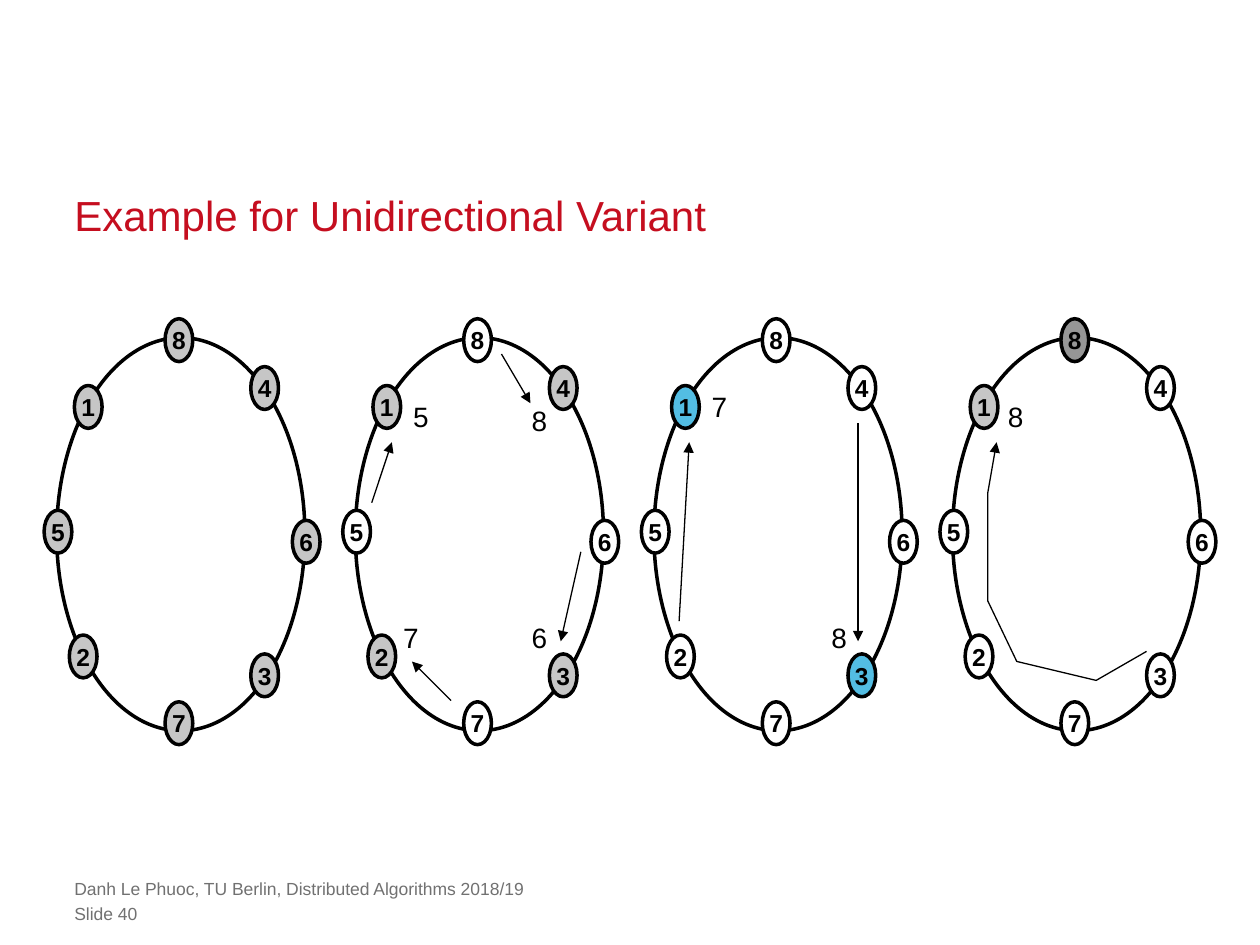
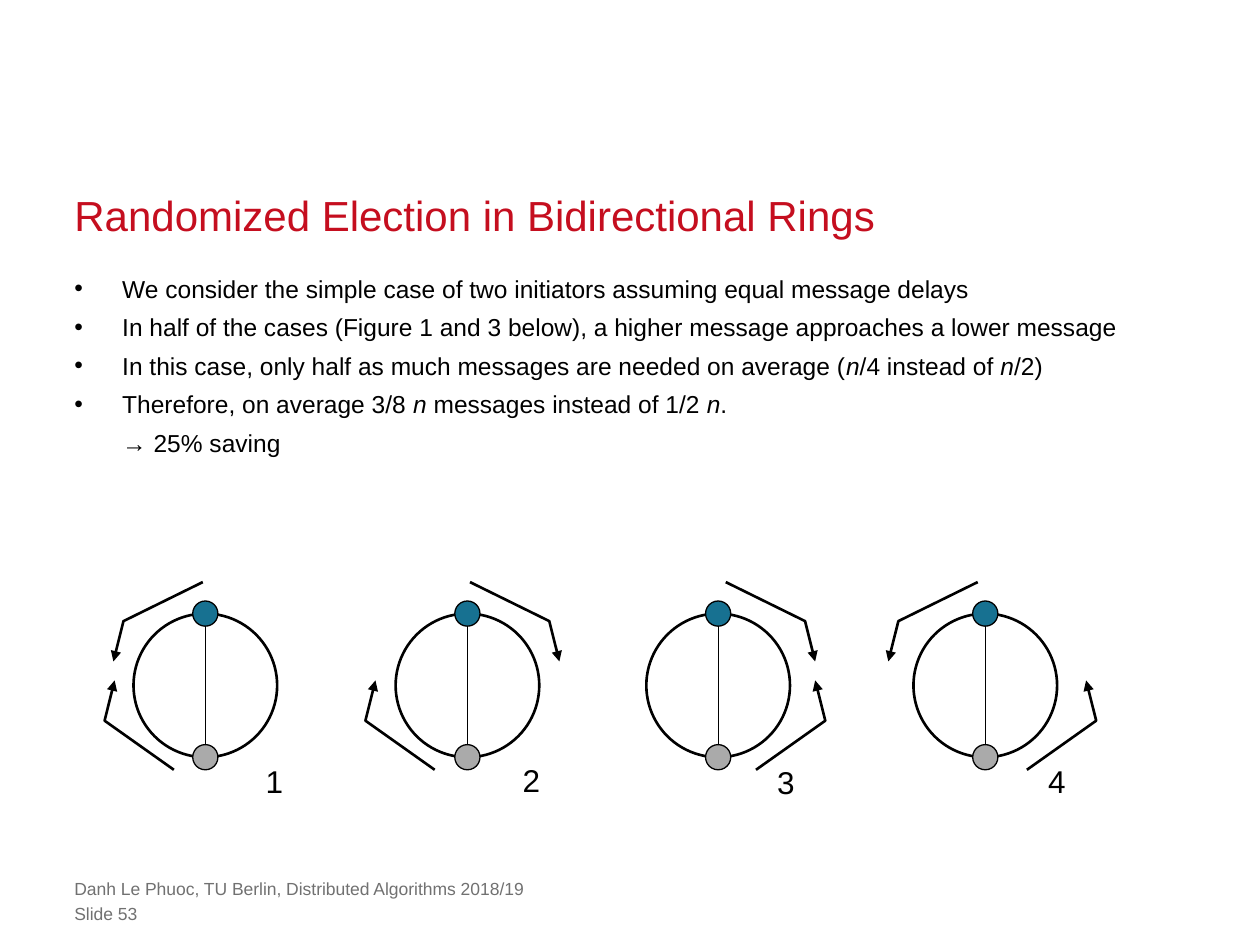
"""Build two slides on leader election in unidirectional and bidirectional rings."""
import lxml.etree
import pptx
import pptx.dml.color
import pptx.enum.shapes
import pptx.enum.text
import pptx.oxml.ns
import pptx.util

BLACK = pptx.dml.color.RGBColor(0x00, 0x00, 0x00)
WHITE = pptx.dml.color.RGBColor(0xFF, 0xFF, 0xFF)
RED = pptx.dml.color.RGBColor(0xC5, 0x0E, 0x1F)
FOOTER_GRAY = pptx.dml.color.RGBColor(0x71, 0x71, 0x71)
LIGHT_GRAY = pptx.dml.color.RGBColor(0xC6, 0xC6, 0xC6)
MEDIUM_GRAY = pptx.dml.color.RGBColor(0xAA, 0xAA, 0xAA)
DARK_GRAY = pptx.dml.color.RGBColor(0x96, 0x96, 0x96)
SKY_BLUE = pptx.dml.color.RGBColor(0x53, 0xBD, 0xE3)
TEAL = pptx.dml.color.RGBColor(0x17, 0x71, 0x91)

FONT = "Arial"
FOOTER = "Danh Le Phuoc, TU Berlin, Distributed Algorithms 2018/19"
MARGIN = 0.59
CONTENT_WIDTH = 8.82

deck = pptx.Presentation()
deck.slide_width = pptx.util.Inches(10)
deck.slide_height = pptx.util.Inches(7.5)
COLUMN = deck.slide_width / 10
ROW = deck.slide_height / 7.5


def add_box(page, left, top, width, height, text="", size=14, color=BLACK,
            line=None, fill=None, inset=True, wrap=False):
    """Add an ellipse when a line width is given, otherwise a text box."""
    place = [round(left * COLUMN), round(top * ROW), round(width * COLUMN), round(height * ROW)]
    if line is None:
        box = page.shapes.add_textbox(*place)
    else:
        box = page.shapes.add_shape(pptx.enum.shapes.MSO_SHAPE.OVAL, *place)
        box.shadow.inherit = False
        box.line.color.rgb = BLACK
        box.line.width = pptx.util.Pt(line)
        if fill is None:
            box.fill.background()
        else:
            box.fill.solid()
            box.fill.fore_color.rgb = fill
    frame = box.text_frame
    frame.word_wrap = wrap
    if not inset:
        frame.margin_left = frame.margin_right = frame.margin_top = frame.margin_bottom = 0
    if text:
        span = frame.paragraphs[0].add_run()
        span.text = text
        span.font.name = FONT
        span.font.size = pptx.util.Pt(size)
        span.font.color.rgb = color
        span.font.bold = line is not None
    return box


def add_path(page, points, width, arrow=True):
    """Draw a connector through two points or an open outline through more."""
    corners = [(round(x * COLUMN), round(y * ROW)) for x, y in points]
    if len(corners) == 2:
        path = page.shapes.add_connector(
            pptx.enum.shapes.MSO_CONNECTOR.STRAIGHT, *corners[0], *corners[1])
    else:
        builder = page.shapes.build_freeform(*corners[0])
        builder.add_line_segments(corners[1:], close=False)
        path = builder.convert_to_shape()
        path.fill.background()
    path.line.color.rgb = BLACK
    path.line.width = pptx.util.Pt(width)
    properties = path.element.spPr
    if arrow:
        outline = properties.find(pptx.oxml.ns.qn("a:ln"))
        lxml.etree.SubElement(outline, pptx.oxml.ns.qn("a:tailEnd"), type="triangle")
    lxml.etree.SubElement(properties, pptx.oxml.ns.qn("a:effectLst"))


pages = []
for title, number in [("Example for Unidirectional Variant", 40),
                      ("Randomized Election in Bidirectional Rings", 53)]:
    page = deck.slides.add_slide(deck.slide_layouts[6])
    heading = add_box(page, MARGIN, 1.48, CONTENT_WIDTH, 0.42, title, 24, RED,
                      inset=False, wrap=True)
    heading.text_frame.vertical_anchor = pptx.enum.text.MSO_ANCHOR.BOTTOM
    heading.text_frame.paragraphs[0].line_spacing = pptx.util.Pt(30)
    for row, text in enumerate([FOOTER, f"Slide {number}"]):
        add_box(page, MARGIN, 6.97 + 0.2 * row, 7.24, 0.17, text, 10, FOOTER_GRAY,
                inset=False, wrap=True)
    pages.append(page)
unidirectional, bidirectional = pages

RING_LEFT, RING_STEP = 0.45, 2.37
NODES = {"8": (0.86, 2.53), "6": (1.87, 4.13), "7": (0.86, 5.57), "5": (-0.1, 4.05),
         "1": (0.14, 3.06), "4": (1.54, 2.91), "3": (1.54, 5.19), "2": (0.1, 5.04)}
RING_FILLS = [
    dict.fromkeys(NODES, LIGHT_GRAY),
    dict.fromkeys("1432", LIGHT_GRAY),
    dict.fromkeys("13", SKY_BLUE),
    {"8": DARK_GRAY, "1": LIGHT_GRAY},
]
RING_MESSAGES = [
    [],
    [("8", (1.3, 3.15), [(1.16, 2.81), (1.39, 3.2)]),
     ("6", (1.3, 4.88), [(1.79, 4.38), (1.63, 5.09)]),
     ("7", (0.28, 4.88), [(0.76, 5.56), (0.45, 5.25)]),
     ("5", (0.36, 3.12), [(0.13, 3.99), (0.29, 3.51)])],
    [("8", (1.31, 4.88), [(1.62, 3.36), (1.62, 5.09)]),
     ("7", (0.36, 3.04), [(0.2, 4.93), (0.28, 3.51)])],
    [("8", (0.34, 3.12), [(1.54, 5.17), (1.14, 5.4), (0.51, 5.25),
                          (0.28, 4.77), (0.28, 3.91), (0.35, 3.51)])],
]
for index, (fills, messages) in enumerate(zip(RING_FILLS, RING_MESSAGES)):
    left = RING_LEFT + index * RING_STEP
    add_box(unidirectional, left, 2.68, 1.97, 3.12, line=2, fill=WHITE)
    for label, (x, y) in NODES.items():
        node = add_box(unidirectional, left + x, y, 0.22, 0.34, label,
                       line=2, fill=fills.get(label, WHITE))
        node.text_frame.vertical_anchor = pptx.enum.text.MSO_ANCHOR.MIDDLE
        node.text_frame.paragraphs[0].alignment = pptx.enum.text.PP_ALIGN.CENTER
    for label, (x, y), points in messages:
        add_box(unidirectional, left + x, y, 0.32, 0.37, label, 16)
        add_path(unidirectional, [(left + px, py) for px, py in points], 0.75)

BULLETS = [
    [("We consider the simple case of two initiators assuming equal message delays", False)],
    [("In half of the cases (Figure 1 and 3 below), a higher message approaches "
      "a lower message", False)],
    [("In this case, only half as much messages are needed on average (", False),
     ("n", True), ("/4 instead of ", False), ("n", True), ("/2)", False)],
    [("Therefore, on average 3/8", False), (" n", True), (" messages instead of 1/2 ", False),
     ("n", True), (".", False), None, ("→ 25% saving", False)],
]
body = add_box(bidirectional, MARGIN, 2.1, CONTENT_WIDTH, 4.45, inset=False, wrap=True)
for index, parts in enumerate(BULLETS):
    para = body.text_frame.paragraphs[0] if index == 0 else body.text_frame.add_paragraph()
    para.line_spacing = pptx.util.Pt(22)
    properties = para._p.get_or_add_pPr()
    properties.set("marL", str(pptx.util.Inches(0.38)))
    properties.set("indent", str(-pptx.util.Inches(0.38)))
    lxml.etree.SubElement(properties, pptx.oxml.ns.qn("a:buFont"), typeface=FONT)
    lxml.etree.SubElement(properties, pptx.oxml.ns.qn("a:buChar"), char="•")
    for part in parts:
        if part is None:
            para.add_line_break()
            continue
        span = para.add_run()
        span.text, span.font.italic = part
        span.font.name = FONT
        span.font.size = pptx.util.Pt(14)
        span.font.color.rgb = BLACK

LEFTWARD, RIGHTWARD = -1, 1
RADIUS, DOT = 0.57, 0.2
CIRCLE_TOP, CIRCLE_BOTTOM = 4.87, 6.01
CIRCLES = [
    ("1", 1.63, LEFTWARD, 0.02, LEFTWARD, 0.25, (0.38, 6)),
    ("2", 3.71, RIGHTWARD, 0.02, LEFTWARD, 0.26, (0.34, 5.99)),
    ("3", 5.7, RIGHTWARD, 0.06, RIGHTWARD, 0.3, (0.37, 6.01)),
    ("4", 7.82, LEFTWARD, 0.06, RIGHTWARD, 0.33, (0.4, 6)),
]
UPPER_ROUTE = [(0, 4.62), (0.63, 4.93), (0.71, 5.25)]
LOWER_ROUTE = [(0, 6.11), (0.55, 5.72), (0.47, 5.4)]
for label, axis, upper_side, upper_gap, lower_side, lower_gap, (x, y) in CIRCLES:
    add_path(bidirectional, [(axis, CIRCLE_TOP), (axis, CIRCLE_BOTTOM)], 0.75, arrow=False)
    add_box(bidirectional, axis - RADIUS, CIRCLE_TOP, 2 * RADIUS, 2 * RADIUS, line=1.5)
    for center, fill in [(CIRCLE_TOP, TEAL), (CIRCLE_BOTTOM, MEDIUM_GRAY)]:
        add_box(bidirectional, axis - DOT / 2, center - DOT / 2, DOT, DOT, line=0.75, fill=fill)
    for route, side, gap in [(LOWER_ROUTE, lower_side, lower_gap),
                             (UPPER_ROUTE, upper_side, upper_gap)]:
        add_path(bidirectional, [(axis + side * (gap + px), py) for px, py in route], 1.5)
    add_box(bidirectional, axis + x, y, 0.34, 0.4, label, 18)

deck.save("out.pptx")
